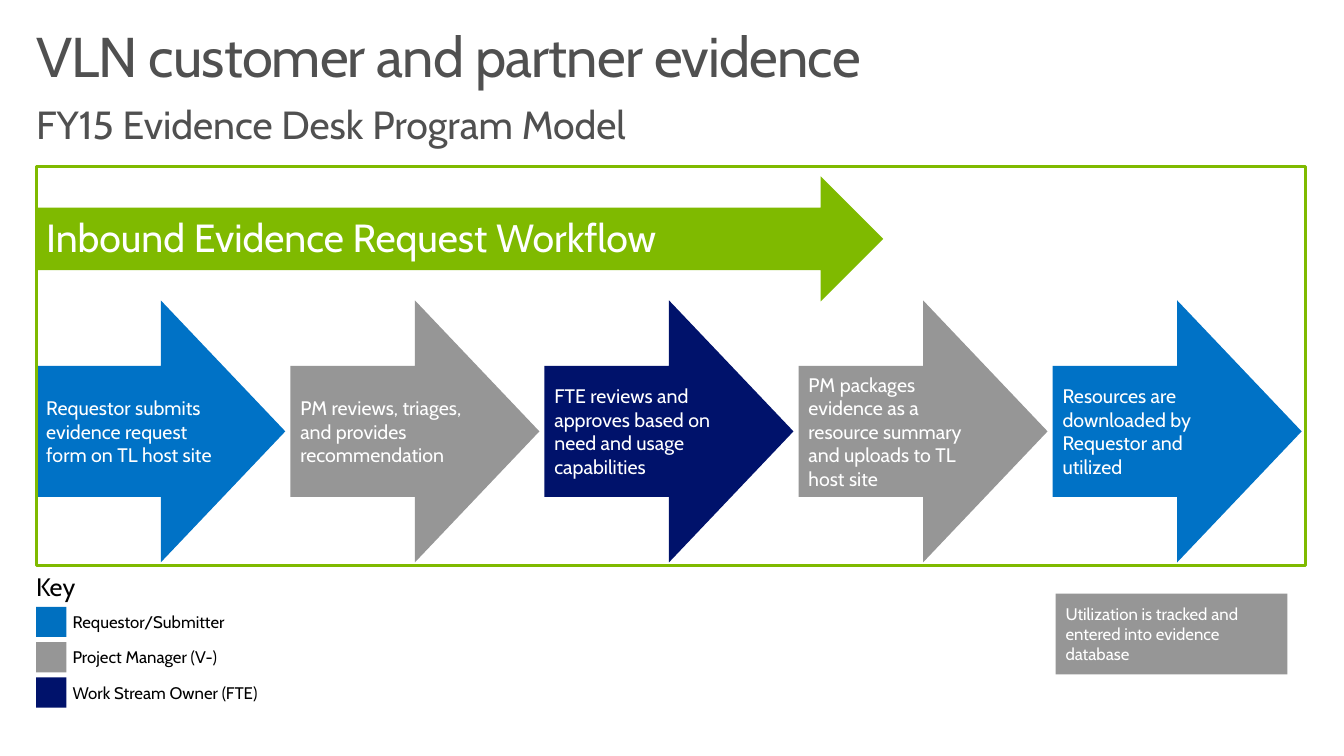
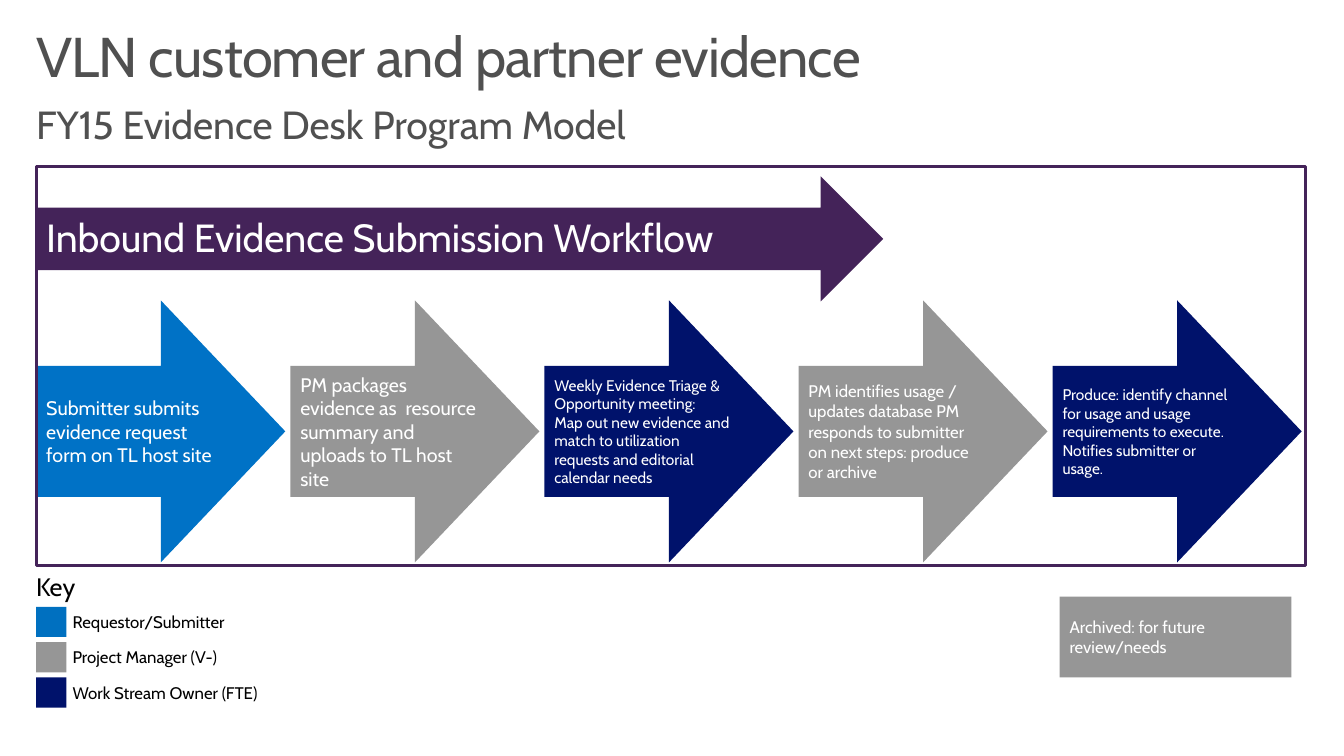
from dataclasses import dataclass

from pptx import Presentation
from pptx.dml.color import RGBColor
from pptx.enum.shapes import MSO_SHAPE
from pptx.enum.text import MSO_ANCHOR, PP_ALIGN
from pptx.util import Inches, Pt

RECTANGLE = MSO_SHAPE.RECTANGLE
RIGHT_ARROW = MSO_SHAPE.RIGHT_ARROW
TOP, MIDDLE, BOTTOM = MSO_ANCHOR.TOP, MSO_ANCHOR.MIDDLE, MSO_ANCHOR.BOTTOM
LEFT = PP_ALIGN.LEFT


@dataclass(frozen=True)
class Theme:
    font: str = "Cabin"
    heading: str = "505050"
    black: str = "000000"
    white: str = "FFFFFF"
    blue: str = "0072C6"
    key_blue: str = "0070C0"
    gray: str = "969696"
    navy: str = "00126B"
    green: str = "7FBA00"
    purple: str = "442359"
    title_size: int = 40
    large_size: int = 28
    key_size: int = 18
    step_size: int = 14
    small_size: int = 12
    tiny_size: int = 11
    frame_line: int = 2


@dataclass(frozen=True)
class Box:
    left: float
    top: float
    width: float
    height: float


@dataclass(frozen=True)
class Grid:
    left: float
    top: float
    width: float
    height: float
    column_gap: float = 0
    row_gap: float = 0

    def cell(self, column: int = 0, row: int = 0) -> Box:
        return Box(
            self.left + column * (self.width + self.column_gap),
            self.top + row * (self.height + self.row_gap),
            self.width,
            self.height,
        )


@dataclass(frozen=True)
class TextStyle:
    size: int
    color: str
    anchor: MSO_ANCHOR = MIDDLE
    insets: tuple[float, float, float, float] = (0.1, 0.05, 0.1, 0.05)
    line_spacing: float = 1.0
    tracking: int = 0


@dataclass(frozen=True)
class Step:
    paragraphs: tuple[str, ...]
    color: str
    size: int


@dataclass(frozen=True)
class KeyEntry:
    label: str
    color: str


@dataclass(frozen=True)
class Workflow:
    heading: str
    accent: str
    steps: tuple[Step, ...]
    note: str
    note_box: Box


THEME = Theme()
SLIDE_WIDTH, SLIDE_HEIGHT = 13.33, 7.5
MARGIN = 0.36

TITLE_BOX = Box(0.26, 0.23, 12.82, 0.71)
SUBTITLE_BOX = Box(0.26, 0.95, 12.82, 0.55)
FRAME_BOX = Box(MARGIN, 1.65, 12.59, 3.96)
BANNER_BOX = Box(MARGIN, 1.75, 8.4, 1.24)
KEY_TITLE_BOX = Box(0.26, 5.62, 1.2, 0.4)
STEP_GRID = Grid(MARGIN, 2.98, 2.47, 2.6, column_gap=0.05)
SWATCH_GRID = Grid(MARGIN, 6.02, 0.3, 0.3, row_gap=0.05)
LABEL_GRID = Grid(0.72, 6.02, 2.5, 0.3, row_gap=0.05)

TITLE_STYLE = TextStyle(THEME.title_size, THEME.heading, BOTTOM,
                        line_spacing=0.9, tracking=-60)
SUBTITLE_STYLE = TextStyle(THEME.large_size, THEME.heading, TOP)
BANNER_STYLE = TextStyle(THEME.large_size, THEME.white, BOTTOM, (0.1, 0.1, 0.1, 0.1))
KEY_TITLE_STYLE = TextStyle(THEME.key_size, THEME.black, TOP)
KEY_LABEL_STYLE = TextStyle(THEME.small_size, THEME.black, TOP, (0, 0.05, 0, 0.05))
NOTE_STYLE = TextStyle(THEME.small_size, THEME.white)

KEY_ENTRIES = (
    KeyEntry("Requestor/Submitter", THEME.key_blue),
    KeyEntry("Project Manager (V-)", THEME.gray),
    KeyEntry("Work Stream Owner (FTE)", THEME.navy),
)

WORKFLOWS = (
    Workflow(
        "Inbound Evidence Request Workflow",
        THEME.green,
        (
            Step(("Requestor submits evidence request form on TL host site",),
                 THEME.blue, THEME.step_size),
            Step(("PM reviews, triages, and provides recommendation",),
                 THEME.gray, THEME.step_size),
            Step(("FTE reviews and approves based on need and usage capabilities",),
                 THEME.navy, THEME.step_size),
            Step(("PM packages evidence as a resource summary and uploads to TL host site",),
                 THEME.gray, THEME.step_size),
            Step(("Resources are downloaded by Requestor and utilized",),
                 THEME.blue, THEME.step_size),
        ),
        "Utilization is tracked and entered into evidence database",
        Box(10.47, 5.89, 2.3, 0.8),
    ),
    Workflow(
        "Inbound Evidence Submission Workflow",
        THEME.purple,
        (
            Step(("Submitter submits evidence request form on TL host site",),
                 THEME.blue, THEME.step_size),
            Step(("PM packages evidence as  resource summary and uploads to TL host site",),
                 THEME.gray, THEME.step_size),
            Step(("Weekly Evidence Triage & Opportunity meeting:",
                  "Map out new evidence and match to utilization requests "
                  "and editorial calendar needs"),
                 THEME.navy, THEME.tiny_size),
            Step(("PM identifies usage / updates database PM responds to submitter "
                  "on next steps: produce or archive",),
                 THEME.gray, THEME.small_size),
            Step(("Produce: identify channel for usage and usage requirements to execute.",
                  "Notifies submitter or usage."),
                 THEME.navy, THEME.tiny_size),
        ),
        "Archived: for future review/needs",
        Box(10.51, 5.92, 2.3, 0.8),
    ),
)


def set_attributes(target, values: dict) -> None:
    for name, value in values.items():
        setattr(target, name, value)


def place(box: Box) -> tuple[int, int, int, int]:
    return Inches(box.left), Inches(box.top), Inches(box.width), Inches(box.height)


def write_text(shape, paragraphs: tuple[str, ...], style: TextStyle) -> None:
    left, top, right, bottom = map(Inches, style.insets)
    frame = shape.text_frame
    set_attributes(frame, {
        "word_wrap": True,
        "vertical_anchor": style.anchor,
        "margin_left": left,
        "margin_top": top,
        "margin_right": right,
        "margin_bottom": bottom,
    })
    for index, text in enumerate(paragraphs):
        paragraph = frame.add_paragraph() if index else frame.paragraphs[0]
        set_attributes(paragraph, {"alignment": LEFT, "line_spacing": style.line_spacing})
        run = paragraph.add_run()
        run.text = text
        set_attributes(run.font, {"name": THEME.font, "size": Pt(style.size)})
        run.font.color.rgb = RGBColor.from_string(style.color)
        if style.tracking:
            run._r.get_or_add_rPr().set("spc", str(style.tracking))


def add_text(slide, box: Box, text: str, style: TextStyle) -> None:
    write_text(slide.shapes.add_textbox(*place(box)), (text,), style)


def add_filled(slide, kind: MSO_SHAPE, box: Box, color: str):
    shape = slide.shapes.add_shape(kind, *place(box))
    shape.shadow.inherit = False
    shape.fill.solid()
    shape.fill.fore_color.rgb = RGBColor.from_string(color)
    shape.line.fill.background()
    return shape


def add_frame(slide, color: str) -> None:
    shape = slide.shapes.add_shape(RECTANGLE, *place(FRAME_BOX))
    shape.shadow.inherit = False
    shape.fill.background()
    shape.line.color.rgb = RGBColor.from_string(color)
    shape.line.width = Pt(THEME.frame_line)


def add_key(slide) -> None:
    add_text(slide, KEY_TITLE_BOX, "Key", KEY_TITLE_STYLE)
    for row, entry in enumerate(KEY_ENTRIES):
        add_filled(slide, RECTANGLE, SWATCH_GRID.cell(row=row), entry.color)
        add_text(slide, LABEL_GRID.cell(row=row), entry.label, KEY_LABEL_STYLE)


def add_steps(slide, steps: tuple[Step, ...]) -> None:
    for column, step in enumerate(steps):
        arrow = add_filled(slide, RIGHT_ARROW, STEP_GRID.cell(column), step.color)
        style = TextStyle(step.size, THEME.white, insets=(0.1, 0.1, 0, 0.1))
        write_text(arrow, step.paragraphs, style)


def add_workflow_slide(presentation, workflow: Workflow) -> None:
    slide = presentation.slides.add_slide(presentation.slide_layouts[6])
    add_text(slide, TITLE_BOX, "VLN customer and partner evidence", TITLE_STYLE)
    add_text(slide, SUBTITLE_BOX, "FY15 Evidence Desk Program Model", SUBTITLE_STYLE)
    add_key(slide)
    add_steps(slide, workflow.steps)
    banner = add_filled(slide, RIGHT_ARROW, BANNER_BOX, workflow.accent)
    write_text(banner, (workflow.heading,), BANNER_STYLE)
    add_frame(slide, workflow.accent)
    note = add_filled(slide, RECTANGLE, workflow.note_box, THEME.gray)
    write_text(note, (workflow.note,), NOTE_STYLE)


def main() -> None:
    presentation = Presentation()
    set_attributes(presentation, {
        "slide_width": Inches(SLIDE_WIDTH),
        "slide_height": Inches(SLIDE_HEIGHT),
    })
    for workflow in WORKFLOWS:
        add_workflow_slide(presentation, workflow)
    presentation.save("out.pptx")


if __name__ == "__main__":
    main()
